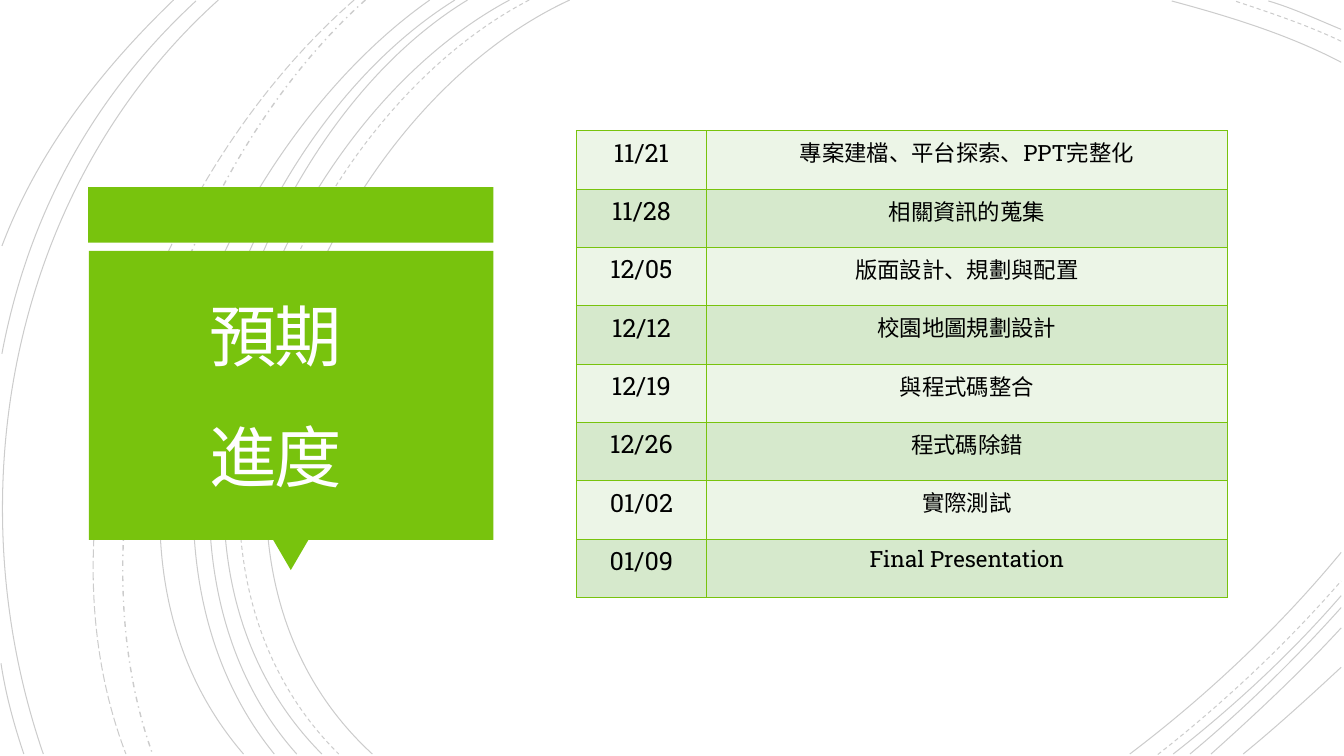
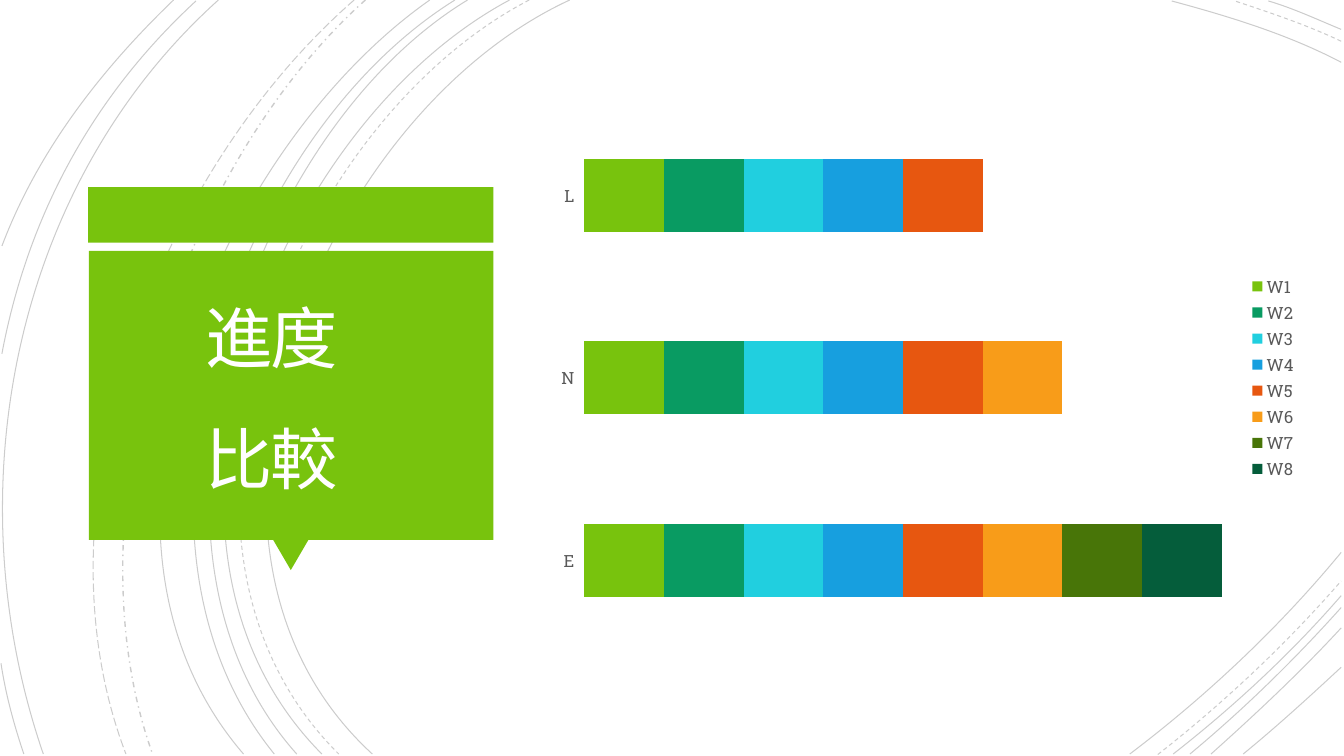
from dataclasses import dataclass

from lxml import etree
from pptx import Presentation
from pptx.chart.data import CategoryChartData
from pptx.dml.color import RGBColor
from pptx.enum.chart import XL_CHART_TYPE, XL_LEGEND_POSITION, XL_TICK_MARK
from pptx.enum.dml import MSO_LINE
from pptx.enum.shapes import MSO_SHAPE
from pptx.enum.text import MSO_ANCHOR, PP_ALIGN
from pptx.oxml.ns import qn
from pptx.util import Pt

RECTANGLE, TRIANGLE = MSO_SHAPE.RECTANGLE, MSO_SHAPE.ISOSCELES_TRIANGLE
CENTER, TOP = PP_ALIGN.CENTER, MSO_ANCHOR.TOP
SOLID, DASH = MSO_LINE.SOLID, MSO_LINE.DASH
DASH_DOT, LONG_DASH = MSO_LINE.DASH_DOT, MSO_LINE.LONG_DASH
STACKED_BARS, LEGEND_RIGHT = XL_CHART_TYPE.BAR_STACKED, XL_LEGEND_POSITION.RIGHT
TICK_OUTSIDE = XL_TICK_MARK.OUTSIDE


@dataclass(frozen=True)
class Theme:
    green: str = "78C30D"
    ink: str = "000000"
    title_ink: str = "FFFEFF"
    label_ink: str = "595959"
    bands: tuple = ("ECF5E7", "D6E9CC")
    weeks: tuple = ("78C30D", "099B62", "21CFDF", "179FDF",
                    "E75710", "F89C19", "487508", "055D3B")
    title_font: str = "Calibri"
    body_font: str = "Roboto Slab"
    title_size: int = 48
    date_size: int = 18
    task_size: int = 16
    label_size: int = 12
    chart_size: int = 10


THEME = Theme()
SLIDE_SIZE = (960, 540)

ARCS = [
    (SOLID, (407, 0), (227, 83), (103, 389), (266, 538.6)),
    (SOLID, (958, 44.5), (920, 24.5), (877, 11.5), (837, 0.7)),
    (SOLID, (807, 538.6), (862, 497), (914, 448), (958, 394.6)),
    (DASH, (378, 0), (205, 90), (89, 387), (242, 538.6)),
    (DASH, (958, 29.5), (934, 18), (907, 9), (882, 0.7)),
    (DASH, (827, 539), (873, 503), (918, 461), (958, 415)),
    (SOLID, (364, 0), (194, 91), (79, 387), (230, 538.6)),
    (SOLID, (958, 21), (941, 14), (924, 6), (906, 0.7)),
    (SOLID, (838, 538.6), (881, 505), (922, 467), (958, 425.5)),
    (SOLID, (334, 0), (176, 96), (79, 390), (212, 538.6)),
    (SOLID, (850, 538.6), (888, 507), (924, 472), (958, 434)),
    (SOLID, (325, 0), (166, 99), (70, 384), (196, 538.6)),
    (SOLID, (865, 538.6), (897, 510), (929, 480), (958, 448.5)),
    (SOLID, (307, 0), (156, 106), (38, 381), (174, 538.6)),
    (SOLID, (888, 538.6), (912, 519), (935, 498), (958, 476.6)),
    (DASH_DOT, (261, 0), (127, 120), (47, 366), (109, 538.6)),
    (LONG_DASH, (253, 0), (113, 122), (21, 359), (90, 538.6)),
    (SOLID, (156, 0), (8, 133), (-33, 353), (31, 538.6)),
    (SOLID, (140, 0.7), (66, 69), (20, 154), (1.4, 252.7)),
    (SOLID, (0.7, 473.8), (4, 496), (10, 517.7), (17, 538.6)),
    (SOLID, (124, 0), (72, 50), (27, 108), (1.4, 175.7)),
]

BANNER = [
    (RECTANGLE, (63, 133.7, 289.4, 39.6), 0),
    (TRIANGLE, (195.1, 385.6, 25.2, 21.6), 180),
    (RECTANGLE, (63.4, 179.2, 289, 206.5), 0),
]

SCHEDULE_TITLE = (("預期", "進度"), (59, 163.4, 275.8, 193.7))
SCHEDULE = [
    ("11/21", "專案建檔、平台探索、PPT完整化"),
    ("11/28", "相關資訊的蒐集"),
    ("12/05", "版面設計、規劃與配置"),
    ("12/12", "校園地圖規劃設計"),
    ("12/19", "與程式碼整合"),
    ("12/26", "程式碼除錯"),
    ("01/02", "實際測試"),
    ("01/09", "Final Presentation"),
]
SCHEDULE_ORIGIN = (411.8, 93.5)
SCHEDULE_COLUMNS = (92.8, 372.2)
SCHEDULE_ROW = 41.67

PROGRESS_TITLE = (("進度", "比較"), (56, 164.6, 275.8, 193.7))
WEEKS_DONE = {"E": 8, "N": 6, "L": 5}
WEEK_VALUE = 100
PROGRESS_BOX = (390.2, 63.2, 543.8, 413.2)
PLOT_AREA = {"x": 0.05, "y": 0.027, "w": 0.942, "h": 0.947}


def rgb(code):
    return RGBColor.from_string(code)


def points(values):
    return [Pt(value) for value in values]


def style(font, name, size, color):
    font.name, font.size = name, Pt(size)
    font.color.rgb = rgb(color)


def add_arc(slide, dash, controls):
    start, *rest = [points(control) for control in controls]
    builder = slide.shapes.build_freeform(*start, scale=1.0)
    builder.add_line_segments(rest, close=False)
    arc = builder.convert_to_shape()
    outline = arc._element.find(".//" + qn("a:path"))
    curve = etree.SubElement(outline, qn("a:cubicBezTo"))
    for segment in outline.findall(qn("a:lnTo")):
        curve.append(segment[0])
        outline.remove(segment)
    arc.shadow.inherit = False
    arc.fill.background()
    arc.line.color.rgb = rgb(THEME.ink)
    arc.line.width = Pt(1 if dash == DASH_DOT else 0.75)
    arc.line.dash_style = dash
    ink = arc._element.spPr.find(qn("a:ln")).find(".//" + qn("a:srgbClr"))
    etree.SubElement(ink, qn("a:alpha"), val="20000")


def add_title(slide, lines, box):
    frame = slide.shapes.add_textbox(*points(box)).text_frame
    frame.word_wrap = True
    frame.vertical_anchor = TOP
    frame.margin_left = frame.margin_right = Pt(18)
    frame.margin_top = frame.margin_bottom = Pt(18)
    paragraph = frame.paragraphs[0]
    paragraph.alignment = CENTER
    paragraph.line_spacing = 1.5
    for index, line in enumerate(lines):
        if index:
            paragraph.add_line_break()
        run = paragraph.add_run()
        run.text = line
        style(run.font, THEME.title_font, THEME.title_size, THEME.title_ink)
        run.font._element.set("spc", "-150")


def add_base(deck, title):
    slide = deck.slides.add_slide(deck.slide_layouts[6])
    for dash, *controls in ARCS:
        add_arc(slide, dash, controls)
    for preset, box, rotation in BANNER:
        part = slide.shapes.add_shape(preset, *points(box))
        part.shadow.inherit = False
        part.rotation = rotation
        part.fill.solid()
        part.fill.fore_color.rgb = rgb(THEME.green)
        part.line.fill.background()
    add_title(slide, *title)
    return slide


def add_borders(cell):
    properties = cell._tc.get_or_add_tcPr()
    for side in ("lnL", "lnR", "lnT", "lnB"):
        border = etree.SubElement(properties, qn("a:" + side), w=str(Pt(1)))
        fill = etree.SubElement(border, qn("a:solidFill"))
        etree.SubElement(fill, qn("a:srgbClr"), val=THEME.green)


def add_schedule(slide):
    size = (sum(SCHEDULE_COLUMNS), SCHEDULE_ROW * len(SCHEDULE))
    table = slide.shapes.add_table(len(SCHEDULE), len(SCHEDULE_COLUMNS),
                                   *points(SCHEDULE_ORIGIN + size)).table
    table.first_row = table.horz_banding = False
    for column, width in zip(table.columns, SCHEDULE_COLUMNS):
        column.width = Pt(width)
    for index, entry in enumerate(SCHEDULE):
        table.rows[index].height = Pt(SCHEDULE_ROW)
        sizes = (THEME.date_size, THEME.task_size)
        for column, (text, text_size) in enumerate(zip(entry, sizes)):
            cell = table.cell(index, column)
            add_borders(cell)
            cell.fill.solid()
            cell.fill.fore_color.rgb = rgb(THEME.bands[index % 2])
            paragraph = cell.text_frame.paragraphs[0]
            paragraph.alignment = CENTER
            run = paragraph.add_run()
            run.text = text
            style(run.font, THEME.body_font, text_size, THEME.ink)


def place_plot(chart):
    plot_area = chart._chartSpace.chart.plotArea
    for old in plot_area.findall(qn("c:layout")):
        plot_area.remove(old)
    layout = etree.Element(qn("c:layout"))
    plot_area.insert(0, layout)
    manual = etree.SubElement(layout, qn("c:manualLayout"))
    settings = {"layoutTarget": "inner", "xMode": "edge", "yMode": "edge", **PLOT_AREA}
    for tag, value in settings.items():
        etree.SubElement(manual, qn("c:" + tag), val=str(value))


def add_progress(slide):
    data = CategoryChartData()
    data.categories = list(WEEKS_DONE)
    for week in range(1, len(THEME.weeks) + 1):
        data.add_series(f"W{week}", [WEEK_VALUE if done >= week else 0
                                     for done in WEEKS_DONE.values()])
    chart = slide.shapes.add_chart(STACKED_BARS, *points(PROGRESS_BOX), data).chart
    style(chart.font, THEME.body_font, THEME.chart_size, THEME.ink)
    chart.has_title = False
    chart.has_legend = True
    chart.legend.position = LEGEND_RIGHT
    chart.legend.include_in_layout = False
    people = chart.category_axis
    people.major_tick_mark = TICK_OUTSIDE
    people.format.line.fill.background()
    for font in (chart.legend.font, people.tick_labels.font):
        style(font, THEME.body_font, THEME.label_size, THEME.label_ink)
    amounts = chart.value_axis
    amounts.visible = amounts.has_major_gridlines = False
    amounts.minimum_scale = 0
    amounts.maximum_scale = WEEK_VALUE * (len(THEME.weeks) + 1)
    bars = chart.plots[0]
    bars.gap_width, bars.overlap = 150, 100
    bars.vary_by_categories = False
    for week, color in zip(bars.series, THEME.weeks):
        week.format.fill.solid()
        week.format.fill.fore_color.rgb = rgb(color)
    place_plot(chart)


def main():
    deck = Presentation()
    deck.slide_width, deck.slide_height = points(SLIDE_SIZE)
    add_schedule(add_base(deck, SCHEDULE_TITLE))
    add_progress(add_base(deck, PROGRESS_TITLE))
    deck.save("out.pptx")


if __name__ == "__main__":
    main()
